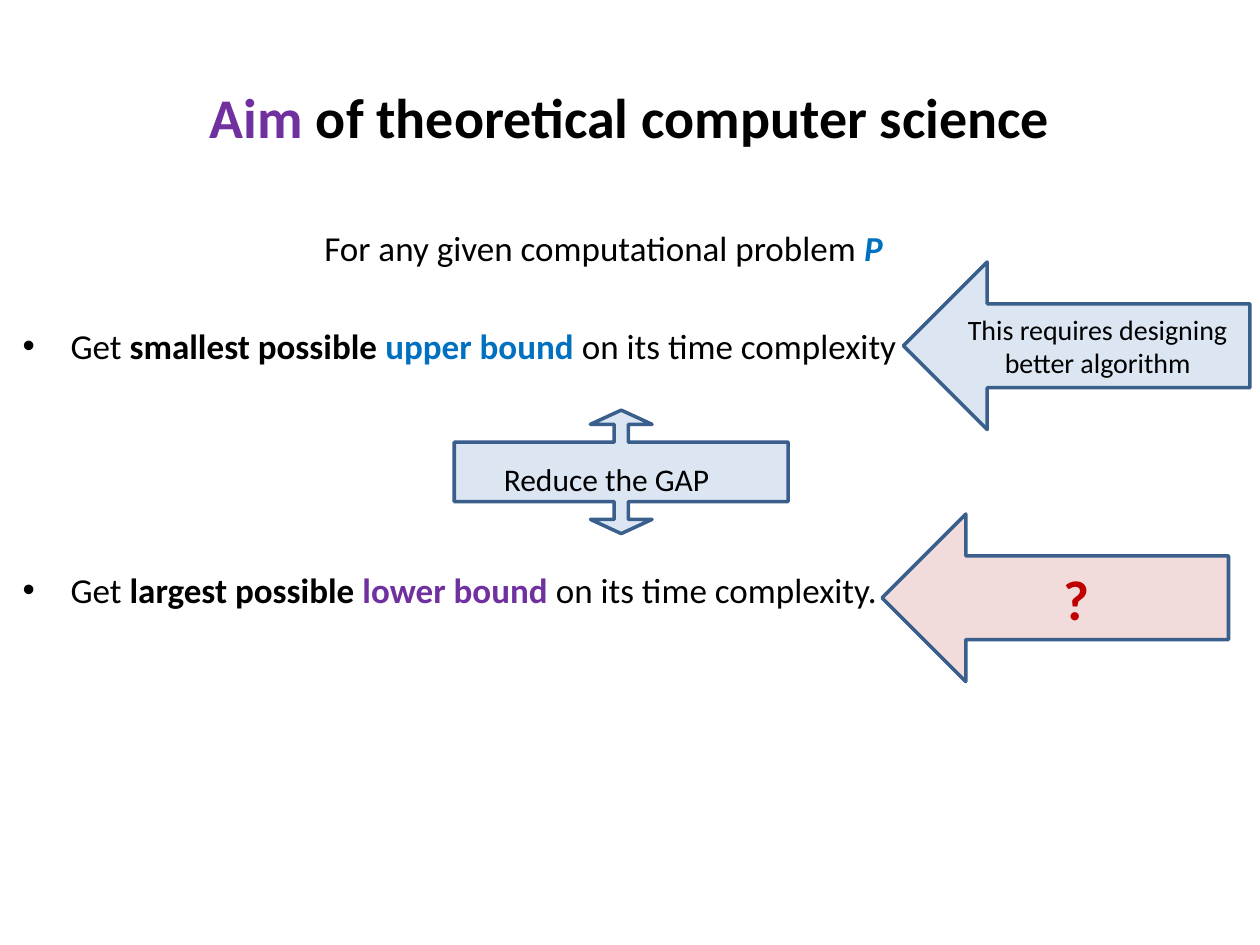
from typing import NamedTuple

from lxml.etree import SubElement
from pptx import Presentation
from pptx.dml.color import RGBColor
from pptx.enum.shapes import MSO_SHAPE
from pptx.enum.text import MSO_ANCHOR, MSO_AUTO_SIZE, PP_ALIGN
from pptx.oxml.ns import qn
from pptx.util import Inches, Pt

COLORS = {
    "black": "000000",
    "purple": "7030A0",
    "blue": "0070C0",
    "red": "C00000",
    "pale_blue": "DCE6F2",
    "pale_red": "F2DCDB",
    "outline": "3A5F8C",
}
FONT = "Calibri"


class TextRun(NamedTuple):
    text: str
    color: str = "black"
    bold: bool = False
    italic: bool = False


class BodyLine(NamedTuple):
    runs: list[TextRun]
    space_before: float = 0
    bullet: bool = True


class LeftArrow(NamedTuple):
    left: float
    top: float
    fill: str
    label: TextRun
    size: int


def color(name: str) -> RGBColor:
    return RGBColor.from_string(COLORS[name])


def place(shape, left: float, top: float, width: float, height: float) -> None:
    shape.left, shape.top = Inches(left), Inches(top)
    shape.width, shape.height = Inches(width), Inches(height)


def add_runs(paragraph, runs: list[TextRun], size: int) -> None:
    for item in runs:
        run = paragraph.add_run()
        run.text = item.text
        font = run.font
        font.name, font.size = FONT, Pt(size)
        font.bold, font.italic = item.bold, item.italic
        font.color.rgb = color(item.color)


def set_bullet(paragraph, bullet: bool) -> None:
    indent = Inches(0.38) if bullet else 0
    properties = paragraph._p.get_or_add_pPr()
    properties.set("marL", str(indent))
    properties.set("indent", str(-indent))
    if bullet:
        SubElement(properties, qn("a:buFont"), typeface="Arial")
        SubElement(properties, qn("a:buChar"), char="•")
    else:
        SubElement(properties, qn("a:buNone"))


def style_shape(shape, fill: str) -> None:
    shape.shadow.inherit = False
    shape.fill.solid()
    shape.fill.fore_color.rgb = color(fill)
    shape.line.color.rgb = color("outline")
    shape.line.width = Pt(2)


def add_left_arrow(slide, arrow: LeftArrow) -> None:
    shape = slide.shapes.add_shape(
        MSO_SHAPE.LEFT_ARROW, Inches(arrow.left), Inches(arrow.top), Inches(2.75), Inches(1.33)
    )
    style_shape(shape, arrow.fill)
    frame = shape.text_frame
    frame.word_wrap = True
    frame.vertical_anchor = MSO_ANCHOR.MIDDLE
    frame.paragraphs[0].alignment = PP_ALIGN.CENTER
    add_runs(frame.paragraphs[0], [arrow.label], arrow.size)


def add_gap_callout(slide) -> None:
    group = slide.shapes.add_group_shape()
    callout = group.shapes.add_shape(
        MSO_SHAPE.LEFT_RIGHT_ARROW_CALLOUT, Inches(4.44), Inches(2.42), Inches(0.98), Inches(2.65)
    )
    callout.rotation = 90
    for index, value in enumerate((0.115, 0.25, 0.115, 0.481)):
        callout.adjustments[index] = value
    style_shape(callout, "pale_blue")
    label = group.shapes.add_textbox(Inches(3.9), Inches(3.6), Inches(1.85), Inches(0.4))
    label.text_frame.word_wrap = False
    label.text_frame.auto_size = MSO_AUTO_SIZE.SHAPE_TO_FIT_TEXT
    add_runs(label.text_frame.paragraphs[0], [TextRun("Reduce the GAP")], 18)


BODY = [
    BodyLine(
        [TextRun("For any given computational problem "), TextRun("P", "blue", True, True)],
        bullet=False,
    ),
    BodyLine(
        [
            TextRun("Get "),
            TextRun("smallest possible ", bold=True),
            TextRun("upper bound ", "blue", True),
            TextRun("on its time complexity"),
        ],
        space_before=31.6,
    ),
    BodyLine(
        [
            TextRun("Get "),
            TextRun("largest possible ", bold=True),
            TextRun("lower bound ", "purple", True),
            TextRun("on its time complexity."),
        ],
        space_before=115.6,
    ),
]
ARROWS = [
    LeftArrow(7.17, 2.08, "pale_blue", TextRun("This requires designing better algorithm"), 16),
    LeftArrow(7, 4.08, "pale_red", TextRun("?", "red", True), 32),
]


def main() -> None:
    presentation = Presentation()
    presentation.slide_width, presentation.slide_height = Inches(10), Inches(7.5)
    slide = presentation.slides.add_slide(presentation.slide_layouts[1])

    # Title
    title = slide.shapes.title
    place(title, 0.5, 0.3, 9, 1.25)
    title.text_frame.vertical_anchor = MSO_ANCHOR.MIDDLE
    heading = title.text_frame.paragraphs[0]
    heading.alignment = PP_ALIGN.CENTER
    add_runs(
        heading,
        [TextRun("Aim ", "purple", True), TextRun("of theoretical computer science", bold=True)],
        32,
    )

    # Problem statement and the two bounds
    body = slide.placeholders[1]
    place(body, 0.08, 1.75, 9.42, 4.95)
    frame = body.text_frame
    frame.auto_size = MSO_AUTO_SIZE.NONE
    for index, line in enumerate(BODY):
        paragraph = frame.add_paragraph() if index else frame.paragraphs[0]
        paragraph.alignment = PP_ALIGN.LEFT if line.bullet else PP_ALIGN.CENTER
        paragraph.space_before = Pt(line.space_before)
        set_bullet(paragraph, line.bullet)
        add_runs(paragraph, line.runs, 20)

    # Gap between the bounds, and the remarks beside them
    add_gap_callout(slide)
    for arrow in ARROWS:
        add_left_arrow(slide, arrow)

    presentation.save("out.pptx")


if __name__ == "__main__":
    main()
